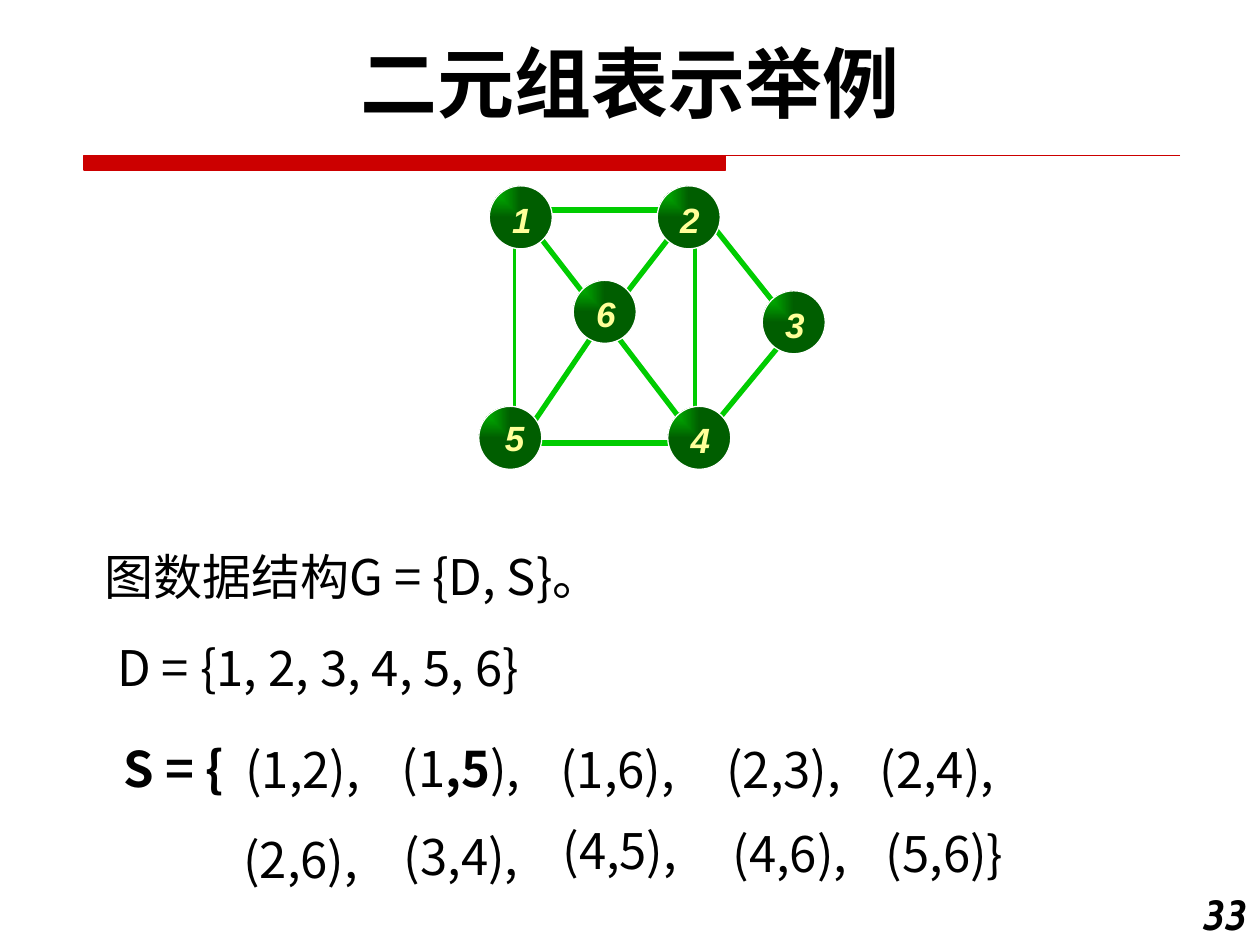
from lxml.etree import SubElement
from pptx import Presentation
from pptx.dml.color import RGBColor
from pptx.enum.shapes import MSO_CONNECTOR, MSO_SHAPE
from pptx.enum.text import MSO_AUTO_SIZE as AutoSize, PP_ALIGN as Align
from pptx.oxml.ns import qn
from pptx.util import Inches, Pt

BLACK = RGBColor(0x00, 0x00, 0x00)
WHITE = RGBColor(0xFF, 0xFF, 0xFF)
RED = RGBColor(0xCC, 0x00, 0x00)
GREEN = RGBColor(0x00, 0xCC, 0x00)
DARK_GREEN = RGBColor(0x00, 0x5E, 0x00)
YELLOW = RGBColor(0xFF, 0xFF, 0x99)

CJK = "Noto Sans CJK SC"
CELL = Inches(1) / 12  # the slide is a grid of 120 columns and 90 rows
NODE = 6               # node diameter in cells

# Number: (column, row) of the node inside the graph box
NODES = {"1": (1, 0), "2": (17, 0), "3": (27, 10),
         "4": (18, 21), "5": (0, 21), "6": (9, 9)}
# Edge ends (column, row, column, row) inside the graph box, and line width
EDGES = [
    (19.1, 3.7, 13.6, 10.8, 3), (29.3, 14.4, 22.2, 23, 3),
    (11.2, 13.7, 4.9, 23, 3), (12.7, 13.7, 19.8, 23, 3),
    (3.4, 4.3, 3.4, 22.3, 2.25), (5.8, 24.5, 18.2, 24.5, 3),
    (5.8, 2.3, 18.2, 2.3, 3), (22.2, 3.7, 28.4, 11.5, 3),
    (4.9, 3.7, 10.4, 10.8, 3), (20.6, 4.3, 20.6, 22.3, 2.25),
]
# Column and row inside the text box, then runs; every second run is bold
PAIRS = [
    (13.4, 18.3, ["(1,2),"]), (28.3, 18.2, ["(1", ",5", "),"]),
    (43.4, 18.3, ["(1,6),"]), (59.2, 18.3, ["(2,3),"]),
    (73.8, 18.3, ["(2,4),"]),
    (13.2, 26.9, ["(2,6),"]), (28.5, 26.6, ["(3,4),"]),
    (43.6, 26.1, ["(4,5),"]), (59.8, 26.3, ["(4,6),"]),
    (74.4, 26.3, ["(5,6)}"]),
]


def cells(*counts):
    return [round(count * CELL) for count in counts]


def add_text(shapes, box, runs, size=28, font=CJK, color=BLACK, bold=False,
             italic=False, align=Align.LEFT, wrap=True, grow=True):
    frame = shapes.add_textbox(*cells(*box)).text_frame
    frame.word_wrap = wrap
    frame.auto_size = AutoSize.SHAPE_TO_FIT_TEXT if grow else AutoSize.NONE
    line = frame.paragraphs[0]
    line.alignment = align
    line.font.name, line.font.size = font, Pt(size)
    line.font.italic = italic
    line.font.color.rgb = color
    for index, text in enumerate(runs):
        run = line.add_run()
        run.text = text
        run.font.name, run.font.size = font, Pt(size)
        run.font.bold = bold or index % 2 == 1
        run.font.italic = italic
        run.font.color.rgb = color
    return line


def add_rule(shapes, left, top, width, height):
    """Thick red bar that runs on as a thin line."""
    bar = 0.585 * width
    builder = shapes.build_freeform(*cells(left, top))
    corners = [(left + bar, top), (left + bar, top + height),
               (left, top + height)]
    builder.add_line_segments([cells(*corner) for corner in corners])
    builder.move_to(*cells(left, top))
    builder.add_line_segments([cells(left + width, top)], close=False)
    rule = builder.convert_to_shape()
    rule.shadow.inherit = False
    rule.fill.solid()
    rule.fill.fore_color.rgb = RED
    rule.line.color.rgb = RED
    rule.line.width = Pt(0.75)


def add_edge(shapes, ends, width):
    edge = shapes.add_connector(MSO_CONNECTOR.STRAIGHT, *cells(*ends))
    edge.line.color.rgb = GREEN
    edge.line.width = Pt(width)
    SubElement(edge._element.spPr, qn("a:effectLst"))


def add_node(shapes, number, left, top):
    ball = shapes.add_shape(MSO_SHAPE.OVAL, *cells(left, top, NODE, NODE))
    ball.shadow.inherit = False
    ball.line.color.rgb = WHITE
    ball.line.width = Pt(0.75)
    # Gradient that spreads from the top left corner
    ball.fill.gradient()
    for stop, color in zip(ball.fill.gradient_stops, (GREEN, DARK_GREEN)):
        stop.color.rgb = color
    gradient = ball._element.spPr.find(qn("a:gradFill"))
    gradient.remove(gradient.find(qn("a:lin")))
    spread = SubElement(gradient, qn("a:path"), path="rect")
    SubElement(spread, qn("a:fillToRect"), r="100000", b="100000")

    # The label of node 5 sits slightly up and to the right
    shifted = number == "5"
    dx, dy, width = (1.3, 0.4, 5) if shifted else (1, 0.6, 4.3)
    add_text(shapes, (left + dx, top + dy, width, 5.2), [number], 20, "Arial",
             YELLOW, bold=True, italic=True, wrap=shifted)


def add_graph(shapes, left, top):
    graph = shapes.add_group_shape().shapes
    for x1, y1, x2, y2, width in EDGES:
        add_edge(graph, (left + x1, top + y1, left + x2, top + y2), width)
    for number, (column, row) in NODES.items():
        add_node(graph, number, left + column, top + row)


def add_definition(shapes, left, top, width):
    """The structure G, its vertex set D and its edge set S."""
    structure = add_text(shapes, (left, top, width, 20.8),
                         ["图数据结构G = {D, S}。"], grow=False)
    indent = structure._p.get_or_add_pPr()
    indent.set("marL", str(Inches(0.51)))
    indent.set("indent", str(-Inches(0.51)))

    add_text(shapes, (left + 1.2, top + 8.6, 91.7, 6.8),
             ["D = {1, 2, 3, 4, 5, 6}"])
    add_text(shapes, (left + 1.8, top + 18.2, 17, 6.8), ["S = {"], bold=True)
    for column, row, runs in PAIRS:
        add_text(shapes, (left + column, top + row, 17, 6.8), runs)


def main():
    deck = Presentation()
    deck.slide_width, deck.slide_height = cells(120, 90)
    shapes = deck.slides.add_slide(deck.slide_layouts[6]).shapes

    add_rule(shapes, 8, 14.8, 104.4, 1.4)
    # Slide number
    add_text(shapes, (112, 84, 8, 6), ["33"], 24, "Cabin", bold=True,
             italic=True, align=Align.RIGHT)
    add_graph(shapes, 45.6, 17.7)
    add_definition(shapes, 8.8, 51.5, 115)
    # Title
    add_text(shapes, (4.5, 2.8, 111, 10.1), ["二元组表示举例"], 44, "Cabin",
             bold=True, align=Align.CENTER)

    deck.save("out.pptx")


if __name__ == "__main__":
    main()
